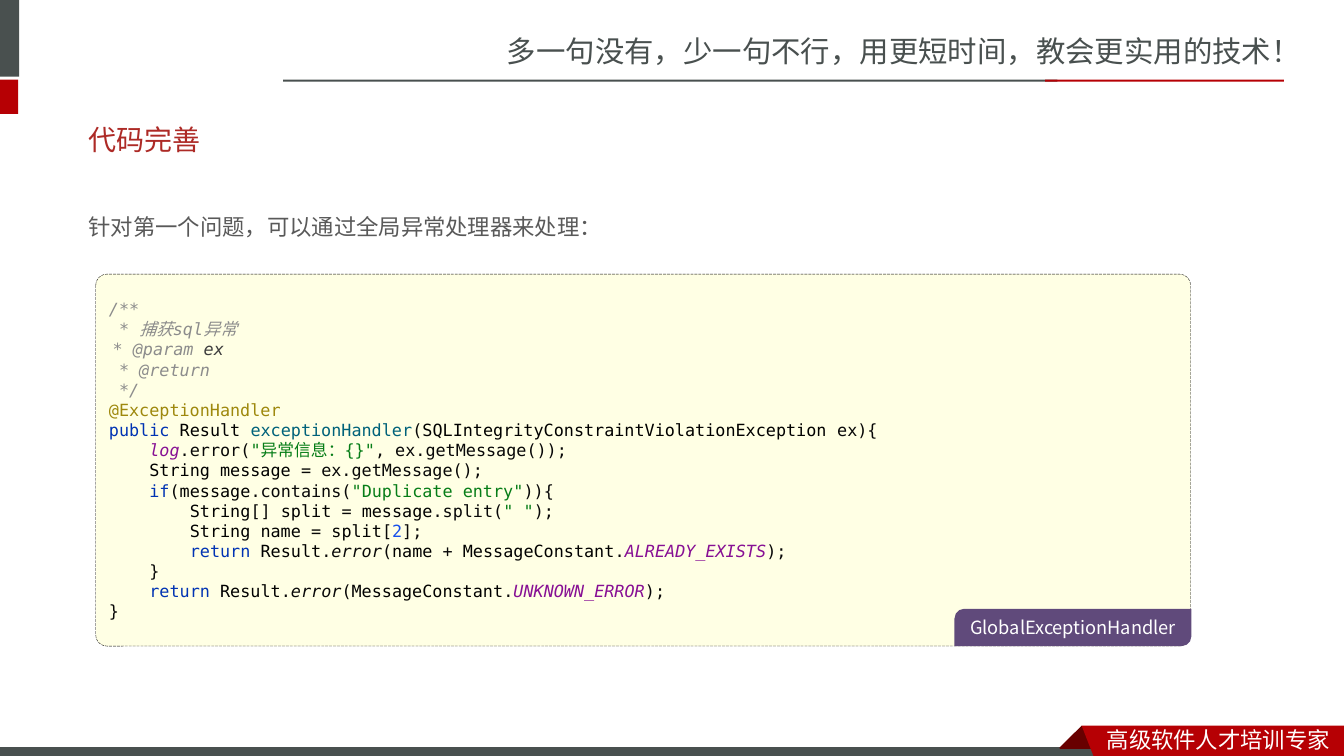
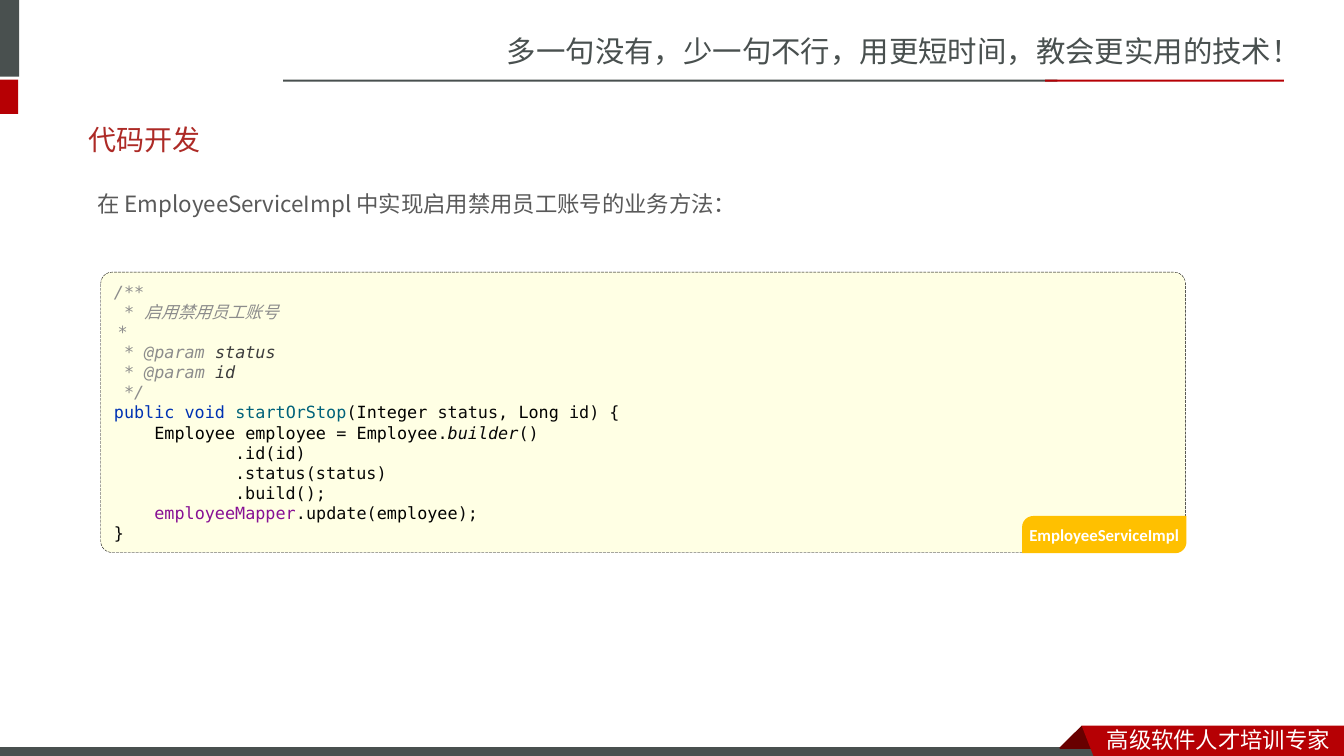
from dataclasses import dataclass

from lxml import etree
from pptx import Presentation
from pptx.dml.color import RGBColor
from pptx.enum import dml, shapes, text
from pptx.oxml import ns
from pptx.util import Pt


@dataclass(frozen=True)
class Theme:
    slate: str = "49504F"
    red: str = "B60004"
    dark_red: str = "680000"
    title: str = "AD2A26"
    body: str = "595959"
    white: str = "FFFFFF"
    code_fill: str = "FFFFE4"
    code_line: str = "000000"
    purple: str = "604A7B"
    amber: str = "FFC000"
    sans: str = "Calibri"
    mono: str = "DejaVu Sans Mono"
    cjk: str = "Noto Sans CJK SC"
    cjk_body: str = "Noto Sans CJK JP"
    header_size: float = 21
    title_size: float = 20
    body_size: float = 16
    label_size: float = 13
    code_size: float = 12


T = Theme()
PRE = shapes.MSO_SHAPE

# code style: colour, italic, font
CODE = {
    "comment": ("8C8C8C", True, T.mono),
    "remark": ("8C8C8C", True, T.cjk),
    "param": ("3D3D3D", True, T.mono),
    "annotation": ("9E880D", False, T.mono),
    "keyword": ("0033B3", False, T.mono),
    "type": ("000000", False, T.mono),
    "method": ("00627A", False, T.mono),
    "plain": ("080808", False, T.mono),
    "static": ("080808", True, T.mono),
    "field": ("871094", False, T.mono),
    "constant": ("871094", True, T.mono),
    "string": ("067D17", False, T.mono),
    "string_cjk": ("067D17", False, T.cjk),
    "number": ("1750EB", False, T.mono),
}

HANDLER_CODE = [
    ("comment", "/**\n * "), ("remark", "捕获"), ("comment", "sql"),
    ("remark", "异常\n "), ("comment", "* @param "), ("param", "ex\n "),
    ("comment", "* @return\n */\n"),
    ("annotation", "@ExceptionHandler\n"),
    ("keyword", "public "), ("type", "Result "), ("method", "exceptionHandler"),
    ("plain", "("), ("type", "SQLIntegrityConstraintViolationException "),
    ("plain", "ex){\n    "),
    ("constant", "log"), ("plain", ".error("), ("string", '"'),
    ("string_cjk", "异常信息："), ("string", '{}"'),
    ("plain", ", ex.getMessage());\n    "),
    ("type", "String message "), ("plain", "= ex.getMessage();\n    "),
    ("keyword", "if"), ("plain", "("), ("type", "message"),
    ("plain", ".contains("), ("string", '"Duplicate entry"'),
    ("plain", ")){\n        "),
    ("type", "String"), ("plain", "[] "), ("type", "split "), ("plain", "= "),
    ("type", "message"), ("plain", ".split("), ("string", '" "'),
    ("plain", ");\n        "),
    ("type", "String name "), ("plain", "= "), ("type", "split"),
    ("plain", "["), ("number", "2"), ("plain", "];\n        "),
    ("keyword", "return "), ("type", "Result"), ("plain", "."),
    ("static", "error"), ("plain", "("), ("type", "name "), ("plain", "+ "),
    ("type", "MessageConstant"), ("plain", "."), ("constant", "ALREADY_EXISTS"),
    ("plain", ");\n    }\n    "),
    ("keyword", "return "), ("type", "Result"), ("plain", "."),
    ("static", "error"), ("plain", "("), ("type", "MessageConstant"),
    ("plain", "."), ("constant", "UNKNOWN_ERROR"), ("plain", ");\n}"),
]

SERVICE_CODE = [
    ("comment", "/**\n * "), ("remark", "启用禁用员工账号\n "),
    ("comment", "*\n * @param "), ("param", "status\n "),
    ("comment", "* @param "), ("param", "id\n "), ("comment", "*/\n"),
    ("keyword", "public void "), ("method", "startOrStop"), ("plain", "("),
    ("type", "Integer "), ("plain", "status, "), ("type", "Long "),
    ("plain", "id) {\n    "),
    ("type", "Employee employee "), ("plain", "= "), ("type", "Employee"),
    ("plain", "."), ("static", "builder"),
    ("plain", "()\n            .id(id)\n            .status(status)\n"
              "            .build();\n    "),
    ("field", "employeeMapper"), ("plain", ".update("), ("type", "employee"),
    ("plain", ");\n}"),
]

SLIDES = [
    dict(title="代码完善", body="针对第一个问题，可以通过全局异常处理器来处理：",
         body_box=(56.2, 129.6, 730, 40.3), spacing=2.0,
         code=HANDLER_CODE, code_box=(68.4, 195.8, 782, 265.7), corner=0.03,
         label="GlobalExceptionHandler", label_box=(681.8, 434.9, 169.2, 26.6),
         label_fill=T.purple, label_corner=0.26,
         label_font=(T.label_size, T.cjk_body, False)),
    dict(title="代码开发", body="在 EmployeeServiceImpl 中实现启用禁用员工账号的业务方法：",
         body_box=(62.6, 122.4, 792, 33.1), spacing=1.5,
         code=SERVICE_CODE, code_box=(72, 194.4, 774.7, 200.2), corner=0.04,
         label="EmployeeServiceImpl", label_box=(730.1, 368.6, 117.4, 26.6),
         label_fill=T.amber, label_corner=0.3,
         label_font=(T.code_size, T.sans, True)),
]

BARS = [
    (-4.3, 0, 18, 54.7, T.slate),
    (-4.3, 56.9, 17.3, 24.5, T.red),
    (202.3, 56.9, 553, 1.4, T.slate),
    (746.6, 56.9, 170.6, 1.4, T.red),
    (-0.7, 533.5, 792, 8.6, T.slate),
]
FOLD = [(772.6, 518.4), (788.4, 534.2), (787.7, 535), (757.4, 535), (756.7, 534.2)]
RIBBON = [(772.6, 518.4), (960, 518.4), (960, 542.9), (781.9, 542.2)]


def paint(sp, fill, line=None, width=0.75):
    sp.shadow.inherit = False
    sp.fill.solid()
    sp.fill.fore_color.rgb = RGBColor.from_string(fill)
    if line:
        sp.line.color.rgb = RGBColor.from_string(line)
        sp.line.width = Pt(width)
    else:
        sp.line.fill.background()


def write(sp, runs, size, align=text.PP_ALIGN.LEFT, anchor=text.MSO_ANCHOR.TOP,
          bold=False, spacing=None):
    """Fill a shape with (text, colour, italic, font) runs; a newline starts a paragraph."""
    tf = sp.text_frame
    tf.word_wrap = True
    tf.vertical_anchor = anchor
    p = tf.paragraphs[0]
    p.alignment, p.line_spacing = align, spacing
    for content, colour, italic, font in runs:
        for i, part in enumerate(content.split("\n")):
            if i:
                p = tf.add_paragraph()
                p.alignment, p.line_spacing = align, spacing
            if not part:
                continue
            r = p.add_run()
            r.text = part
            r.font.size, r.font.name = Pt(size), font
            r.font.bold, r.font.italic = bold, italic
            r.font.color.rgb = RGBColor.from_string(colour)
            east_asian = font if font == T.cjk_body else T.cjk
            etree.SubElement(r.font._element, ns.qn("a:ea"), typeface=east_asian)


prs = Presentation()
prs.slide_width, prs.slide_height = Pt(960), Pt(540)
MIDDLE = text.MSO_ANCHOR.MIDDLE

for content in SLIDES:
    s = prs.slides.add_slide(prs.slide_layouts[6])

    # Header and footer
    for *box, colour in BARS:
        bar = s.shapes.add_shape(PRE.RECTANGLE, *map(Pt, box))
        paint(bar, colour, T.white if box[1] > 500 else None)
    for points, colour in ((FOLD, T.dark_red), (RIBBON, T.red)):
        start, *rest = [(Pt(x), Pt(y)) for x, y in points]
        outline = s.shapes.build_freeform(*start)
        outline.add_line_segments(rest, close=True)
        paint(outline.convert_to_shape(), colour)

    # Plain text: box, wording, colour, font, size, anchor, line spacing
    for box, words, colour, font, size, anchor, spacing in (
        ((355, 20.2, 605, 33.8), "多一句没有，少一句不行，用更短时间，教会更实用的技术！",
         T.slate, T.cjk, T.header_size, text.MSO_ANCHOR.TOP, None),
        ((783.4, 514.8, 176.4, 26.6), "高级软件人才培训专家",
         T.white, T.cjk, T.body_size, text.MSO_ANCHOR.TOP, None),
        ((56.2, 79.2, 842.4, 41), content["title"],
         T.title, T.sans, T.title_size, MIDDLE, None),
        (content["body_box"], content["body"],
         T.body, T.cjk_body, T.body_size, text.MSO_ANCHOR.TOP, content["spacing"]),
    ):
        sp = s.shapes.add_textbox(*map(Pt, box))
        write(sp, [(words, colour, False, font)], size, anchor=anchor, spacing=spacing)

    # Code panel
    panel = s.shapes.add_shape(PRE.ROUNDED_RECTANGLE, *map(Pt, content["code_box"]))
    panel.adjustments[0] = content["corner"]
    paint(panel, T.code_fill, T.code_line, 0.25)
    panel.line.dash_style = dml.MSO_LINE.LONG_DASH
    write(panel, [(words, *CODE[style]) for style, words in content["code"]],
          T.code_size, anchor=MIDDLE)

    # Class name label
    label = s.shapes.add_shape(PRE.ROUND_2_DIAG_RECTANGLE, *map(Pt, content["label_box"]))
    label.adjustments[0] = content["label_corner"]
    paint(label, content["label_fill"])
    tf = label.text_frame
    tf.margin_left = tf.margin_right = tf.margin_top = tf.margin_bottom = 0
    size, font, bold = content["label_font"]
    write(label, [(content["label"], T.white, False, font)], size,
          text.PP_ALIGN.CENTER, MIDDLE, bold)

prs.save("out.pptx")
